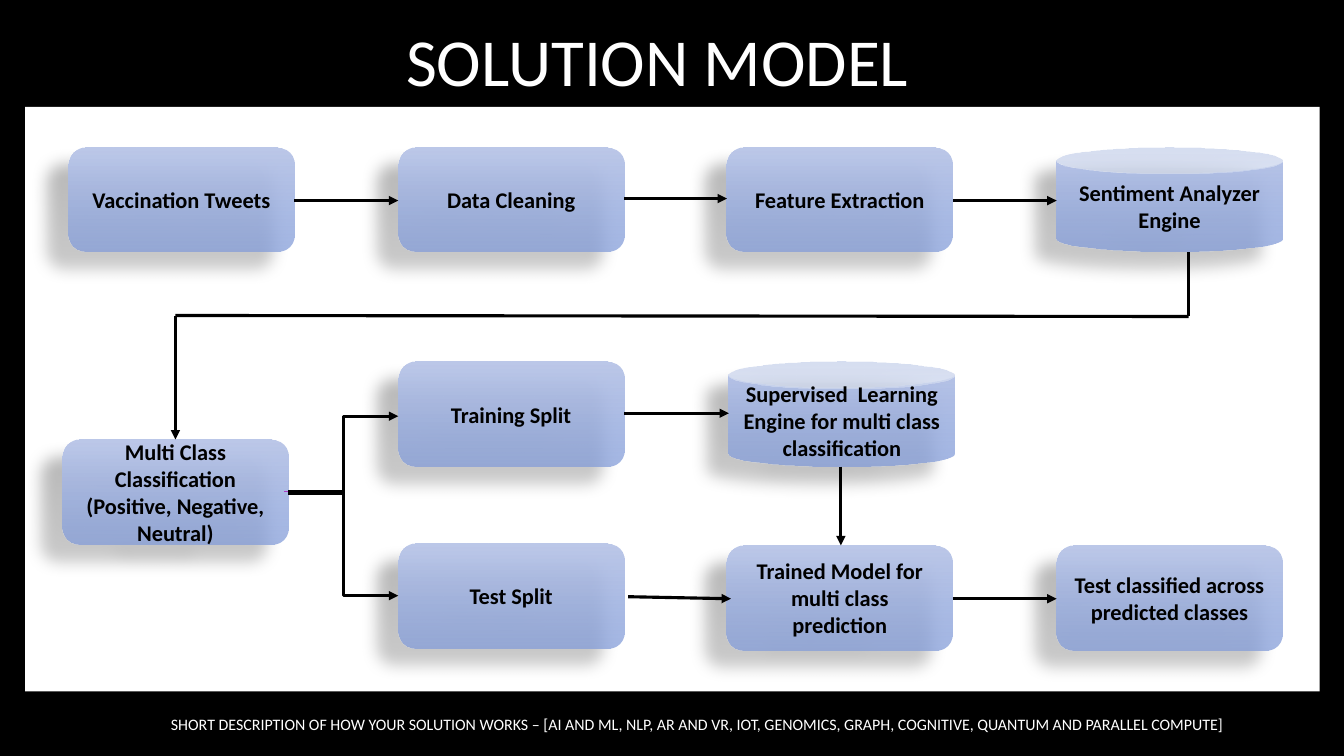
from lxml import etree
from pptx import Presentation
from pptx.dml.color import RGBColor
from pptx.enum import shapes, text
from pptx.oxml.ns import qn
from pptx.util import Inches, Pt

BLACK = RGBColor(0x00, 0x00, 0x00)
WHITE = RGBColor(0xFF, 0xFF, 0xFF)
NODE_TOP = RGBColor(0xBC, 0xC8, 0xE9)
NODE_BOTTOM = RGBColor(0x85, 0x9E, 0xDA)
PURPLE = RGBColor(0xAC, 0x3E, 0xC1)

FONT = "Calibri"
BOX = shapes.MSO_SHAPE.ROUNDED_RECTANGLE
CAN = shapes.MSO_SHAPE.CAN
STRAIGHT = shapes.MSO_CONNECTOR.STRAIGHT
ELBOW = shapes.MSO_CONNECTOR.ELBOW
CENTER = text.PP_ALIGN.CENTER

# Flow layout, in inches from the panel's corner
NODE_W, NODE_H = 2.24, 1.04
COL = [0.43, 3.7, 6.96, 10.23]
ROW = [0.4, 2.53, 4.34]
NODES = {
    "tweets": (BOX, COL[0], ROW[0], "Vaccination Tweets"),
    "cleaning": (BOX, COL[1], ROW[0], "Data Cleaning"),
    "features": (BOX, COL[2], ROW[0], "Feature Extraction"),
    "sentiment": (CAN, COL[3], ROW[0], "Sentiment Analyzer Engine"),
    "classes": (BOX, 0.37, 3.3,
                "Multi Class Classification (Positive, Negative, Neutral)"),
    "training": (BOX, COL[1], ROW[1], "Training Split"),
    "learning": (CAN, COL[2] + 0.02, ROW[1],
                 "Supervised  Learning Engine for multi class classification"),
    "test": (BOX, COL[1], ROW[2] - 0.01, "Test Split"),
    "model": (BOX, COL[2], ROW[2] + 0.01,
              "Trained Model for multi class prediction"),
    "result": (BOX, COL[3], ROW[2] + 0.01,
               "Test classified across predicted classes"),
}
# Left-to-right arrows: start, end, kind, shift in x, shift in y
ARROWS = [
    ("tweets", "cleaning", STRAIGHT, 0, 0.01),
    ("cleaning", "features", STRAIGHT, 0, -0.01),
    ("features", "sentiment", STRAIGHT, 0, 0.01),
    ("training", "learning", STRAIGHT, 0, -0.01),
    ("test", "model", STRAIGHT, 0.04, 0.01),
    ("model", "result", STRAIGHT, 0, 0.01),
    ("classes", "training", ELBOW, 0, 0.02),
    ("classes", "test", ELBOW, 0, 0),
]


def add_run(p, words, size, color, bold=False):
    r = p.add_run()
    r.text = words
    r.font.name = FONT
    r.font.size = Pt(size)
    r.font.bold = bold
    r.font.color.rgb = color


def add_shadow(sp, alpha, blur, dist, angle):
    sp.shadow.inherit = False
    effects = sp._element.spPr.find(qn("a:effectLst"))
    outer = etree.SubElement(
        effects, qn("a:outerShdw"), blurRad=str(Pt(blur)),
        dist=str(Pt(dist)), dir=str(angle * 60000), rotWithShape="0")
    color = etree.SubElement(outer, qn("a:srgbClr"), val=str(BLACK))
    etree.SubElement(color, qn("a:alpha"), val=str(alpha * 1000))


def add_line(slide, start, end, kind=STRAIGHT, arrow=True, color=BLACK,
             width=2.25):
    ends = [Inches(v) for v in (*start, *end)]
    line = slide.shapes.add_connector(kind, *ends)
    line.line.color.rgb = color
    line.line.width = Pt(width)
    props = line._element.spPr
    if arrow:
        etree.SubElement(props.find(qn("a:ln")), qn("a:tailEnd"),
                         type="triangle")
    etree.SubElement(props, qn("a:effectLst"))


def add_caption(slide, x, y, w, h, words, size, align, anchor):
    sp = slide.shapes.add_textbox(Inches(x), Inches(y), Inches(w), Inches(h))
    tf = sp.text_frame
    tf.word_wrap = True
    tf.vertical_anchor = anchor
    p = tf.paragraphs[0]
    p.alignment = align
    p.line_spacing = 0.9
    add_run(p, words, size, WHITE)


def add_node(slide, kind, x, y, words):
    sp = slide.shapes.add_shape(kind, Inches(x), Inches(y),
                                Inches(NODE_W), Inches(NODE_H))
    sp.fill.gradient()
    sp.fill.gradient_angle = 270
    first, last = sp.fill.gradient_stops
    first.color.rgb = NODE_TOP
    last.color.rgb = NODE_BOTTOM
    bottom = sp._element.spPr.findall(".//" + qn("a:srgbClr"))[-1]
    etree.SubElement(bottom, qn("a:alpha"), val="74000")
    sp.line.fill.background()
    add_shadow(sp, 28, 11.8, 19.7, 141)
    tf = sp.text_frame
    tf.word_wrap = True
    tf.vertical_anchor = text.MSO_ANCHOR.MIDDLE
    p = tf.paragraphs[0]
    p.alignment = CENTER
    add_run(p, words, 16, BLACK, bold=True)


def add_flow(slide, x, y, w, h):
    # White panel
    panel = slide.shapes.add_shape(shapes.MSO_SHAPE.RECTANGLE, Inches(x),
                                   Inches(y), Inches(w), Inches(h))
    panel.fill.solid()
    panel.fill.fore_color.rgb = WHITE
    panel.line.fill.background()
    add_shadow(panel, 32, 3.5, 2.2, 90)

    # Steps
    for kind, left, top, words in NODES.values():
        add_node(slide, kind, x + left, y + top, words)

    def point(name, fx, fy, dx=0, dy=0):
        left, top = NODES[name][1:3]
        return x + left + fx * NODE_W + dx, y + top + fy * NODE_H + dy

    # Short purple stub behind the split
    stub_x, stub_y = point("classes", 1, 0.5)
    add_line(slide, (stub_x - 0.04, stub_y), (stub_x + 0.39, stub_y),
             arrow=False, color=PURPLE, width=0.75)

    # Arrows between neighbours
    for start, end, kind, dx, dy in ARROWS:
        add_line(slide, point(start, 1, 0.5, dx, dy),
                 point(end, 0, 0.5, dx, dy), kind)
    drop_x, drop_y = point("learning", 0.5, 1)
    add_line(slide, (drop_x - 0.01, drop_y),
             (drop_x - 0.01, point("model", 0, 0)[1]))

    # Return path from the first row to the second
    out = point("sentiment", 0.5, 1, 0.19)
    into = point("classes", 0.5, 0)
    turn_y = y + 2.08
    add_line(slide, out, (out[0], turn_y), arrow=False)
    add_line(slide, (out[0], turn_y), (into[0], turn_y - 0.01), arrow=False)
    add_line(slide, (into[0], turn_y), into)


def main():
    prs = Presentation()
    prs.slide_width = Inches(13.33)
    prs.slide_height = Inches(7.5)
    slide = prs.slides.add_slide(prs.slide_layouts[6])
    slide.background.fill.solid()
    slide.background.fill.fore_color.rgb = BLACK

    add_caption(slide, 1.49, 7.06, 10.75, 0.44,
                "SHORT DESCRIPTION OF HOW YOUR SOLUTION WORKS – [AI AND ML, "
                "NLP, AR AND VR, IOT, GENOMICS, GRAPH, COGNITIVE, QUANTUM "
                "AND PARALLEL COMPUTE]",
                11.4, text.PP_ALIGN.RIGHT, text.MSO_ANCHOR.TOP)
    add_caption(slide, 1.85, -0.09, 9.34, 1.14, "SOLUTION MODEL",
                48, CENTER, text.MSO_ANCHOR.BOTTOM)
    add_flow(slide, 0.25, 1.06, 12.84, 5.8)
    prs.save("out.pptx")


if __name__ == "__main__":
    main()
